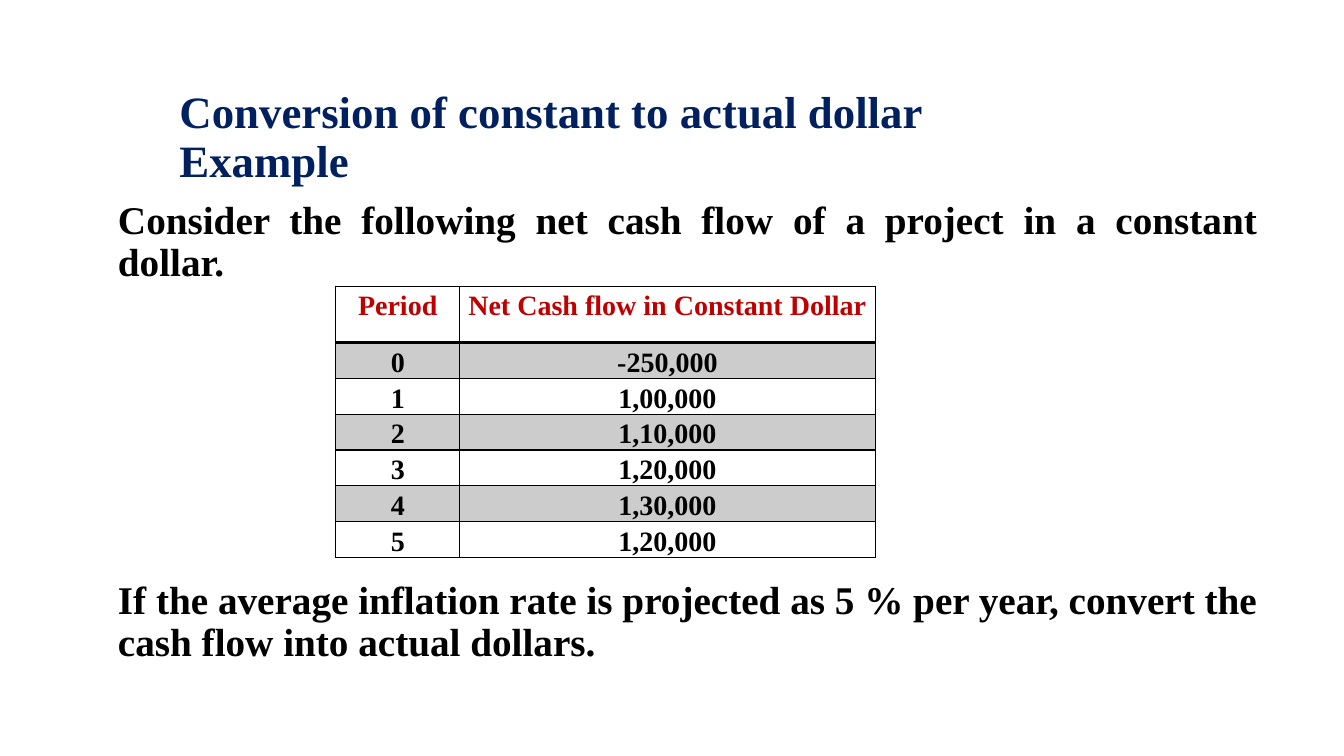
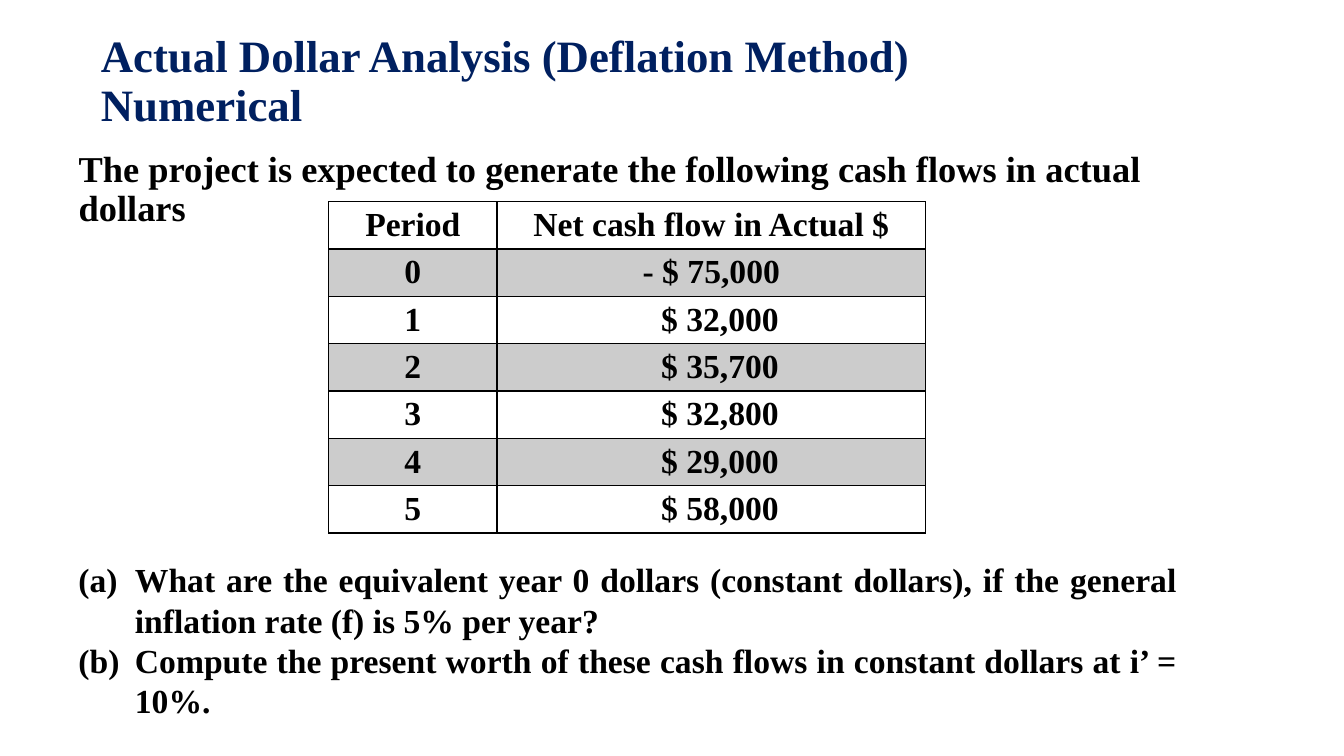
from lxml.etree import SubElement
from pptx import Presentation
from pptx.dml.color import RGBColor
from pptx.enum.text import MSO_ANCHOR, MSO_AUTO_SIZE, PP_ALIGN
from pptx.oxml.ns import qn
from pptx.util import Inches, Pt

NAVY, RED, BLACK, GREY = "002060", "C00000", "000000", "CCCCCC"
FONT = "Times New Roman"
SLIDE_SIZE = (13.33, 7.5)
TITLE_FORMAT = {"size": 32, "color": NAVY}
TITLE_SPACING = {"alignment": PP_ALIGN.LEFT, "line_spacing": 0.9}

SLIDES = [
    {
        "title": "Conversion of constant to actual dollar Example",
        "title_box": (1.68, 0.65, 8.4, 1.45),
        "body": [
            "Consider the following net cash flow of a project in a constant dollar.",
            "If the average inflation rate is projected as 5 % per year, convert the cash flow into actual dollars.",
        ],
        "body_box": (1.07, 1.94, 11.5, 4.76),
        "body_size": 28,
        "body_align": PP_ALIGN.JUSTIFY,
        "body_gap": 211,
        "table": {
            "origin": (3.33, 2.84),
            "columns": (1.23, 4.12),
            "row_heights": (0.56, 0.35),
            "margins": (0.07, 0),
            "line_spacing": 1.15,
            "size": 20,
            "header_color": RED,
            "header": ("Period", "Net Cash flow in Constant Dollar"),
            "flows": ["-250,000", "1,00,000", "1,10,000", "1,20,000", "1,30,000", "1,20,000"],
            "positive_indent": 0,
        },
        "questions": [],
    },
    {
        "title": "Actual Dollar Analysis (Deflation Method) Numerical",
        "title_box": (0.9, 0.12, 9.75, 1.4),
        "body": ["The project is expected to generate the following cash flows in actual dollars"],
        "body_box": (0.68, 1.45, 11.52, 4.13),
        "body_size": 26,
        "body_align": PP_ALIGN.LEFT,
        "body_gap": 0,
        "table": {
            "origin": (3.26, 2),
            "columns": (1.67, 4.25),
            "row_heights": (0.47, 0.47),
            "margins": (0.1, 0.05),
            "line_spacing": 1,
            "size": 24,
            "header_color": BLACK,
            "header": ("Period", "Net cash flow in Actual $"),
            "flows": ["- $ 75,000", "$ 32,000", "$ 35,700", "$ 32,800", "$ 29,000", "$ 58,000"],
            "positive_indent": 0.17,
        },
        "questions": [
            "What are the equivalent year 0 dollars (constant dollars), if the general inflation rate (f) is 5% per year?",
            "Compute the present worth of these cash flows in constant dollars at i’ = 10%.",
        ],
    },
]
QUESTIONS_BOX = (0.68, 5.5, 11.09, 1.72)


def set_all(target, values):
    for name, value in values.items():
        setattr(target, name, value)


def color_of(hex_text):
    return RGBColor.from_string(hex_text)


def format_paragraph(paragraph, text, size, color, spacing):
    paragraph.text = text
    set_all(paragraph, {"space_before": Pt(0), "space_after": Pt(0), **spacing})
    for run in paragraph.runs:
        set_all(run.font, {"name": FONT, "size": Pt(size), "bold": True})
        run.font.color.rgb = color_of(color)


def fill_text(shape, box, texts, size, color, spacing, gap=0, anchor=MSO_ANCHOR.TOP, bullet=None):
    set_all(shape, dict(zip(("left", "top", "width", "height"), map(Inches, box))))
    frame = shape.text_frame
    set_all(frame, {"word_wrap": True, "auto_size": MSO_AUTO_SIZE.NONE, "vertical_anchor": anchor})
    for index, text in enumerate(texts):
        paragraph = frame.add_paragraph() if index else frame.paragraphs[0]
        format_paragraph(paragraph, text, size, color, {**spacing, "space_before": Pt(gap if index else 0)})
        properties = paragraph._p.get_or_add_pPr()
        hang = Inches(0.56) if bullet else 0
        properties.set("marL", str(hang))
        properties.set("indent", str(-hang))
        if bullet:
            SubElement(properties, qn("a:buFont"), typeface="+mj-lt")
            SubElement(properties, qn("a:buAutoNum"), type=bullet)
        else:
            SubElement(properties, qn("a:buNone"))


def add_borders(cell, top, bottom):
    properties = cell._tc.get_or_add_tcPr()
    for side, width in (("L", 1), ("R", 1), ("T", top), ("B", bottom)):
        line = SubElement(properties, qn(f"a:ln{side}"), w=str(Pt(width)))
        SubElement(SubElement(line, qn("a:solidFill")), qn("a:srgbClr"), val=BLACK)


def add_cash_flow_table(slide, content):
    rows = [content["header"]] + [(str(period), flow) for period, flow in enumerate(content["flows"])]
    first_height, other_height = content["row_heights"]
    heights = [first_height] + [other_height] * len(content["flows"])
    size = (sum(content["columns"]), sum(heights))
    frame = slide.shapes.add_table(len(rows), 2, *map(Inches, content["origin"] + size))
    table = frame.table
    set_all(table, {"first_row": False, "horz_banding": False})
    for column, width in zip(table.columns, content["columns"]):
        column.width = Inches(width)
    side, edge = map(Inches, content["margins"])
    spacing = {"alignment": PP_ALIGN.CENTER, "line_spacing": content["line_spacing"]}
    for row_index, texts in enumerate(rows):
        table.rows[row_index].height = Inches(heights[row_index])
        color = BLACK if row_index else content["header_color"]
        for column_index, text in enumerate(texts):
            cell = table.cell(row_index, column_index)
            indent = content["positive_indent"] if text.startswith("$") else 0
            set_all(cell, {"margin_left": side + Inches(indent), "margin_right": side,
                           "margin_top": edge, "margin_bottom": edge})
            add_borders(cell, 2 if row_index == 1 else 1, 1 if row_index else 2)
            if row_index % 2:
                cell.fill.solid()
                cell.fill.fore_color.rgb = color_of(GREY)
            else:
                cell.fill.background()
            format_paragraph(cell.text_frame.paragraphs[0], text, content["size"], color, spacing)


def build_slide(presentation, content):
    slide = presentation.slides.add_slide(presentation.slide_layouts[1])
    fill_text(slide.shapes.title, content["title_box"], [content["title"]],
              **TITLE_FORMAT, spacing=TITLE_SPACING, anchor=MSO_ANCHOR.MIDDLE)
    fill_text(slide.placeholders[1], content["body_box"], content["body"], content["body_size"], BLACK,
              {"alignment": content["body_align"], "line_spacing": 0.9}, content["body_gap"])
    add_cash_flow_table(slide, content["table"])
    if content["questions"]:
        questions = slide.shapes.add_textbox(*map(Inches, QUESTIONS_BOX))
        fill_text(questions, QUESTIONS_BOX, content["questions"], 24, BLACK,
                  {"alignment": PP_ALIGN.JUSTIFY}, bullet="alphaLcParenBoth")


def main():
    presentation = Presentation()
    presentation.slide_width, presentation.slide_height = map(Inches, SLIDE_SIZE)
    for content in SLIDES:
        build_slide(presentation, content)
    presentation.save("out.pptx")


if __name__ == "__main__":
    main()
